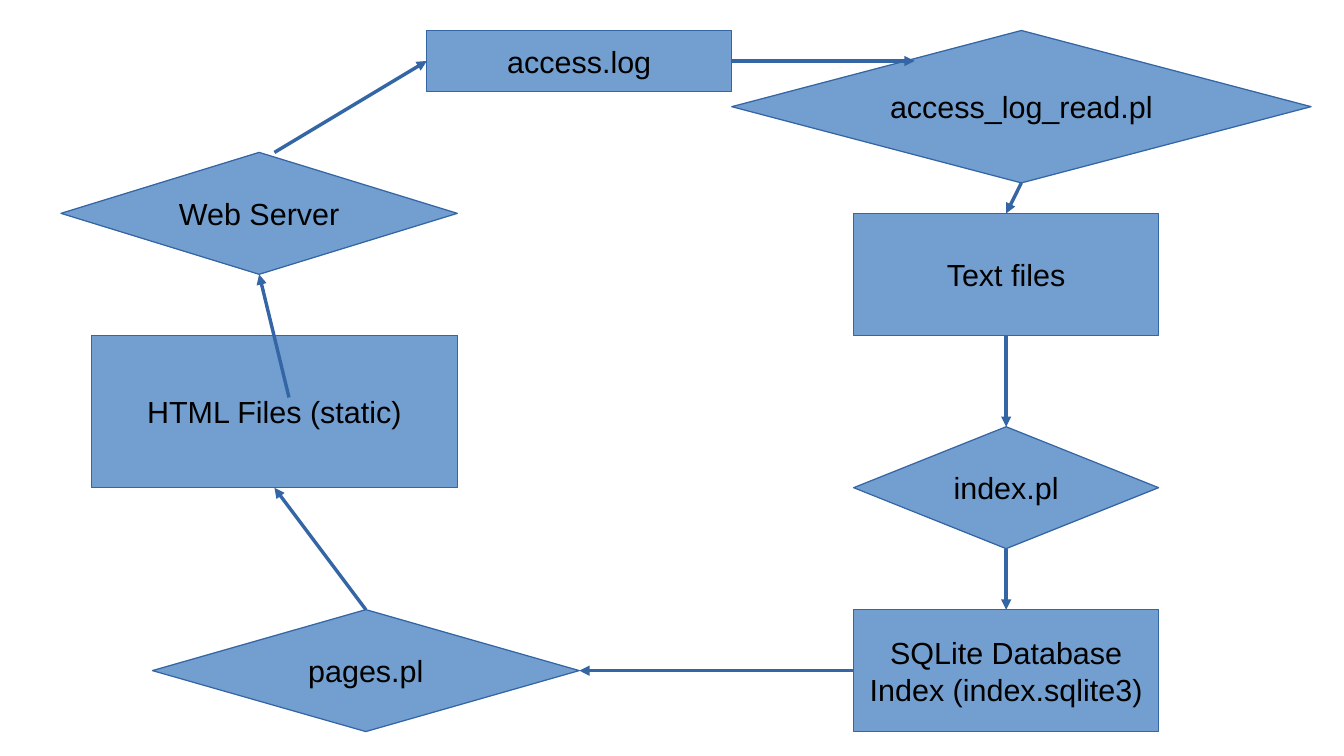
from lxml.etree import SubElement
from pptx import Presentation
from pptx.dml.color import RGBColor
from pptx.enum.shapes import MSO_CONNECTOR, MSO_SHAPE
from pptx.enum.text import MSO_ANCHOR, PP_ALIGN
from pptx.oxml.ns import qn
from pptx.util import Inches, Pt

COLORS = {"fill": "729FCF", "line": "3465A4", "text": "000000"}
FILE, PROGRAM = MSO_SHAPE.RECTANGLE, MSO_SHAPE.DIAMOND
TOP, LEFT, BOTTOM, RIGHT = range(4)

NODES = {
    "text": ("Text files", FILE, (7, 1.75, 2.5, 1)),
    "index": ("index.pl", PROGRAM, (7, 3.5, 2.5, 1)),
    "database": ("SQLite Database Index (index.sqlite3)", FILE, (7, 5, 2.5, 1)),
    "pages": ("pages.pl", PROGRAM, (1.25, 5, 3.5, 1)),
    "html": ("HTML Files (static)", FILE, (0.75, 2.75, 3, 1.25)),
    "server": ("Web Server", PROGRAM, (0.5, 1.25, 3.25, 1)),
    "log": ("access.log", FILE, (3.5, 0.25, 2.5, 0.5)),
    "reader": ("access_log_read.pl", PROGRAM, (6, 0.25, 4.75, 1.25)),
}
ARROWS = [
    (("text", BOTTOM), ("index", TOP)),
    (("index", BOTTOM), ("database", TOP)),
    (("database", LEFT), ("pages", RIGHT)),
    (("pages", TOP), ("html", BOTTOM)),
    ((2.37, 3.26), ("server", BOTTOM)),
    ((2.25, 1.25), ("log", LEFT)),
    (("log", RIGHT), (7.5, 0.5)),
    (("reader", BOTTOM), ("text", TOP)),
]


def style_line(line):
    line.color.rgb = RGBColor.from_string(COLORS["line"])
    line.width = Pt(0)


def add_node(slide, label, kind, box):
    shape = slide.shapes.add_shape(kind, *map(Inches, box))
    shape.shadow.inherit = False
    shape.fill.solid()
    shape.fill.fore_color.rgb = RGBColor.from_string(COLORS["fill"])
    style_line(shape.line)
    frame = shape.text_frame
    frame.word_wrap = True
    frame.vertical_anchor = MSO_ANCHOR.MIDDLE
    paragraph = frame.paragraphs[0]
    paragraph.text = label
    paragraph.alignment = PP_ALIGN.CENTER
    paragraph.font.name = "Arial"
    paragraph.font.size = Pt(18)
    paragraph.font.color.rgb = RGBColor.from_string(COLORS["text"])
    return shape


def locate(end):
    if end[0] not in NODES:
        return end
    name, side = end
    left, top, width, height = NODES[name][2]
    across, down = ((0.5, 0), (0, 0.5), (0.5, 1), (1, 0.5))[side]
    return left + across * width, top + down * height


def add_arrow(slide, shapes, start, finish):
    points = map(Inches, (*locate(start), *locate(finish)))
    connector = slide.shapes.add_connector(MSO_CONNECTOR.STRAIGHT, *points)
    for end, connect in ((start, connector.begin_connect), (finish, connector.end_connect)):
        if end[0] in shapes:
            connect(shapes[end[0]], end[1])
    style_line(connector.line)
    SubElement(connector.line._get_or_add_ln(), qn("a:tailEnd"), type="triangle")
    SubElement(connector._element.spPr, qn("a:effectLst"))


def main():
    presentation = Presentation()
    presentation.slide_width = Inches(11.02)
    presentation.slide_height = Inches(6.2)
    slide = presentation.slides.add_slide(presentation.slide_layouts[6])
    shapes = {name: add_node(slide, *node) for name, node in NODES.items()}
    for start, finish in ARROWS:
        add_arrow(slide, shapes, start, finish)
    presentation.save("out.pptx")


if __name__ == "__main__":
    main()
